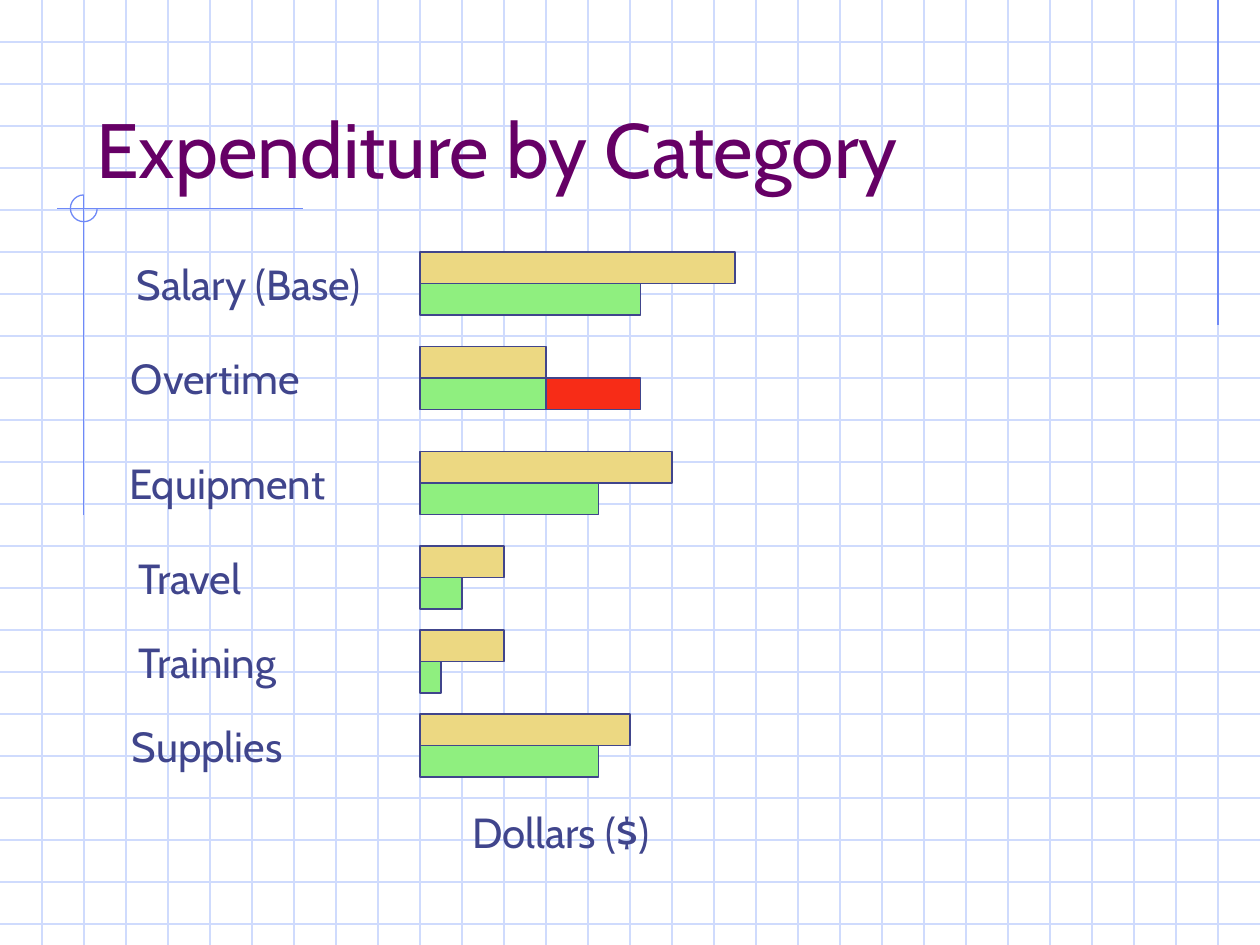
from lxml import etree
from pptx import Presentation
from pptx import util as u
from pptx.dml.color import RGBColor
from pptx.enum import shapes, text
from pptx.oxml.ns import qn

GRID_BLUE = RGBColor(0xCF, 0xDB, 0xFD)
ACCENT_BLUE = RGBColor(0x6F, 0x89, 0xF7)
NAVY = RGBColor(0x40, 0x45, 0x8C)
PURPLE = RGBColor(0x66, 0x00, 0x66)
GOLD = RGBColor(0xEC, 0xD8, 0x82)
GREEN = RGBColor(0x8F, 0xEF, 0x7F)
RED = RGBColor(0xF7, 0x2C, 0x17)

WIDTH, HEIGHT = 25.4, 19.05  # cm, as are all lengths below
UNIT = 2.54 / 12             # bars and rows sit on this step
GRID_STEP = 4 * UNIT
BAR_HEIGHT = 3 * UNIT
LABEL_HEIGHT = 1.27

# Category, label offset, label width, then in units: row top, gold, green, red
CATEGORIES = [
    ("Salary (Base)", 0.15, 5.56, 0, 30, 21, 0),
    ("Overtime", 0.03, 4.22, 9, 12, 12, 9),
    ("Equipment", 0, 4.85, 19, 24, 17, 0),
    ("Travel", 0.18, 2.82, 28, 8, 4, 0),
    ("Training", 0.18, 3.56, 36, 8, 2, 0),
    ("Supplies", 0.05, 3.86, 44, 20, 17, 0),
]


def add_line(slide, x1, y1, x2, y2, color):
    line = slide.shapes.add_connector(
        shapes.MSO_CONNECTOR.STRAIGHT, u.Cm(x1), u.Cm(y1), u.Cm(x2), u.Cm(y2))
    line.line.color.rgb = color
    line.line.width = u.Pt(0.75)
    etree.SubElement(line._element.spPr, qn("a:effectLst"))


def add_text(slide, words, left, top, width, height, size=24, color=NAVY,
             anchor=text.MSO_ANCHOR.TOP):
    box = slide.shapes.add_textbox(u.Cm(left), u.Cm(top), u.Cm(width), u.Cm(height))
    frame = box.text_frame
    frame.word_wrap = True
    frame.vertical_anchor = anchor
    paragraph = frame.paragraphs[0]
    paragraph.text = words
    paragraph.font.name = "Cabin"
    paragraph.font.size = u.Pt(size)
    paragraph.font.color.rgb = color


def add_bar(slide, left, top, units, color):
    bar = slide.shapes.add_shape(
        shapes.MSO_SHAPE.RECTANGLE, u.Cm(left), u.Cm(top),
        u.Cm(units * UNIT), u.Cm(BAR_HEIGHT))
    bar.shadow.inherit = False
    bar.fill.solid()
    bar.fill.fore_color.rgb = color
    bar.line.color.rgb = NAVY
    bar.line.width = u.Pt(0.75)


def draw_graph_paper(slide, left, top, width, height):
    for row in range(1, int(height / GRID_STEP) + 1):
        y = top + row * GRID_STEP
        add_line(slide, left, y, left + width, y, GRID_BLUE)
    for column in range(1, round(width / GRID_STEP)):
        x = left + column * GRID_STEP
        add_line(slide, x, top, x, top + height, GRID_BLUE)


def draw_title_marks(slide, left, top, width, height):
    """Crossed rules with a three-quarter circle where they meet."""
    radius = 0.27
    cross_x, cross_y = left + 0.55, top + radius
    add_line(slide, left + width, cross_y, left, cross_y, ACCENT_BLUE)
    add_line(slide, cross_x, top, cross_x, top + height, ACCENT_BLUE)
    arc = slide.shapes.add_shape(
        shapes.MSO_SHAPE.ARC, u.Cm(cross_x - radius), u.Cm(top),
        u.Cm(2 * radius), u.Cm(2 * radius))
    arc.shadow.inherit = False
    arc.adjustments[0] = 0
    arc.adjustments[1] = 162  # 270 degrees, at 0.6 per degree
    arc.fill.background()
    arc.line.color.rgb = ACCENT_BLUE
    arc.line.width = u.Pt(0.75)


def draw_expenditure_bars(slide, left, top, bars_left):
    for name, offset, width, row, gold, green, red in CATEGORIES:
        y = top + row * UNIT
        add_text(slide, name, left + offset, y, width, LABEL_HEIGHT)
        add_bar(slide, bars_left, y, gold, GOLD)
        if red:
            add_bar(slide, bars_left + green * UNIT, y + BAR_HEIGHT, red, RED)
        add_bar(slide, bars_left, y + BAR_HEIGHT, green, GREEN)
    # Axis caption
    add_text(slide, "Dollars ($)", bars_left + 0.8, top + 11.05, 4.52, LABEL_HEIGHT)


def main():
    deck = Presentation()
    deck.slide_width, deck.slide_height = u.Cm(WIDTH), u.Cm(HEIGHT)
    slide = deck.slides.add_slide(deck.slide_layouts[6])

    # Background
    draw_graph_paper(slide, 0, 0, WIDTH, HEIGHT)
    margin_x = WIDTH - GRID_STEP
    add_line(slide, margin_x, 0, margin_x, 6.55, ACCENT_BLUE)
    draw_title_marks(slide, 1.14, 3.93, 4.96, 6.46)

    # Title and bars
    add_text(slide, "Expenditure by Category", 1.69, 0.85, 21.59, 3.18,
             size=44, color=PURPLE, anchor=text.MSO_ANCHOR.BOTTOM)
    draw_expenditure_bars(slide, 2.36, 24 * UNIT, 40 * UNIT)
    deck.save("out.pptx")


if __name__ == "__main__":
    main()
